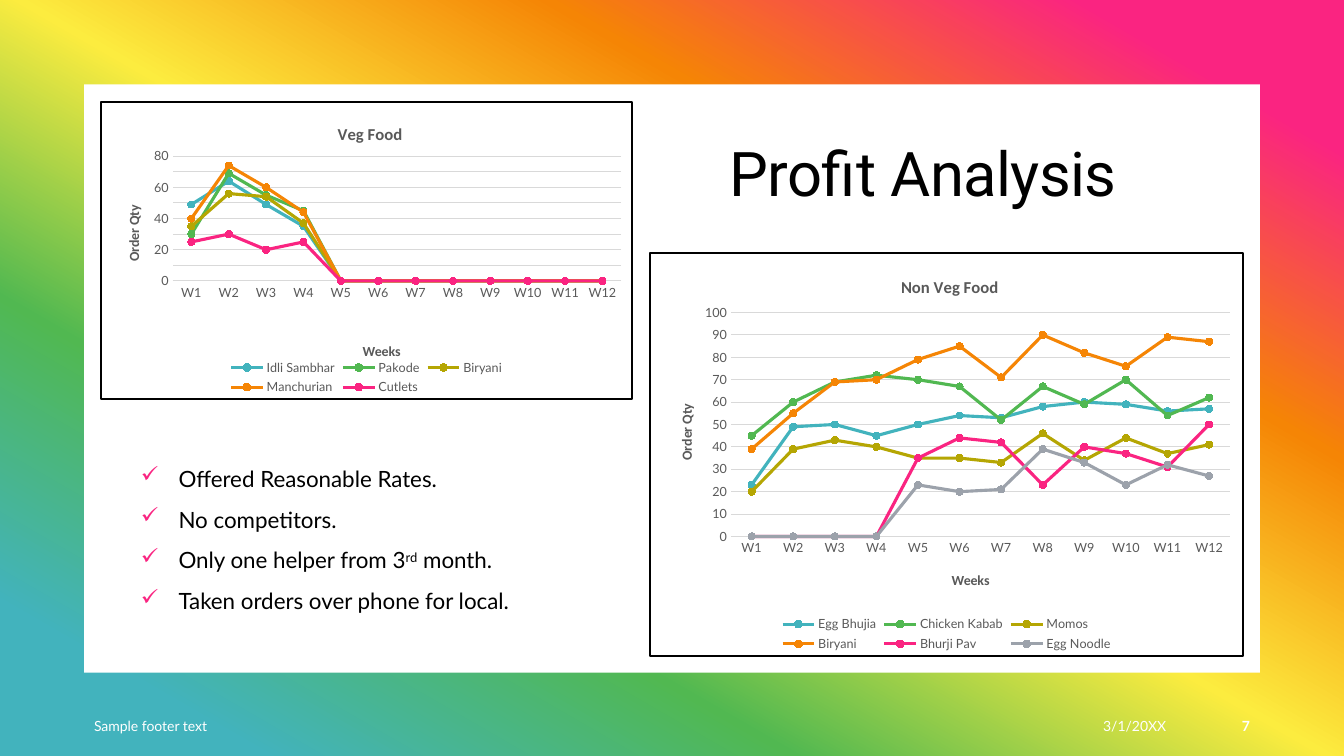
from lxml import etree
from pptx import Presentation
from pptx.chart.data import CategoryChartData
from pptx.dml.color import RGBColor
from pptx.enum.chart import XL_CHART_TYPE, XL_LEGEND_POSITION, XL_MARKER_STYLE, XL_TICK_MARK
from pptx.enum.shapes import MSO_SHAPE
from pptx.enum.text import MSO_ANCHOR, PP_ALIGN
from pptx.oxml import parse_xml
from pptx.oxml.ns import nsdecls, qn
from pptx.util import Cm, Pt

LINE_MARKERS = XL_CHART_TYPE.LINE_MARKERS
LEGEND_BOTTOM = XL_LEGEND_POSITION.BOTTOM
CIRCLE = XL_MARKER_STYLE.CIRCLE
NO_TICK = XL_TICK_MARK.NONE
RECTANGLE = MSO_SHAPE.RECTANGLE
TOP, MIDDLE = MSO_ANCHOR.TOP, MSO_ANCHOR.MIDDLE
LEFT, RIGHT = PP_ALIGN.LEFT, PP_ALIGN.RIGHT

BLACK = RGBColor(0x00, 0x00, 0x00)
WHITE = RGBColor(0xFF, 0xFF, 0xFF)
DARK_GREY = RGBColor(0x59, 0x59, 0x59)
GRID_GREY = RGBColor(0xD9, 0xD9, 0xD9)
TEAL = RGBColor(0x42, 0xB3, 0xBD)
GREEN = RGBColor(0x51, 0xB8, 0x51)
OLIVE = RGBColor(0xB5, 0xA6, 0x03)
ORANGE = RGBColor(0xF5, 0x85, 0x05)
PINK = RGBColor(0xFA, 0x24, 0x81)
SILVER = RGBColor(0x9C, 0xA2, 0xAB)
YELLOW = RGBColor(0xFC, 0xEC, 0x3F)

SERIES_COLORS = (TEAL, GREEN, OLIVE, ORANGE, PINK, SILVER)
RAINBOW = ((10, PINK), (30, ORANGE), (50, YELLOW), (70, GREEN), (90, TEAL))
WEEKS = [f"W{week}" for week in range(1, 13)]
CLOSED = [0] * 8

VEG_SALES = {
    "Idli Sambhar": [49, 64, 49, 35] + CLOSED,
    "Pakode": [30, 69, 55, 45] + CLOSED,
    "Biryani": [35, 56, 54, 37] + CLOSED,
    "Manchurian": [40, 74, 60, 44] + CLOSED,
    "Cutlets": [25, 30, 20, 25] + CLOSED,
}
NON_VEG_SALES = {
    "Egg Bhujia": [23, 49, 50, 45, 50, 54, 53, 58, 60, 59, 56, 57],
    "Chicken Kabab": [45, 60, 69, 72, 70, 67, 52, 67, 59, 70, 54, 62],
    "Momos": [20, 39, 43, 40, 35, 35, 33, 46, 34, 44, 37, 41],
    "Biryani": [39, 55, 69, 70, 79, 85, 71, 90, 82, 76, 89, 87],
    "Bhurji Pav": [0, 0, 0, 0, 35, 44, 42, 23, 40, 37, 31, 50],
    "Egg Noodle": [0, 0, 0, 0, 23, 20, 21, 39, 33, 23, 32, 27],
}
# Fractions of the chart frame: left and top, then width and height for the plot
VEG_LAYOUT = {"plot": (0.135, 0.183, 0.845, 0.42), "title": (0.44, 0.06),
              "weeks": (0.488, 0.8), "quantity": (0.04, 0.34)}
NON_VEG_LAYOUT = {"plot": (0.136, 0.148, 0.842, 0.556), "title": (0.418, 0.05),
                  "weeks": (0.504, 0.785), "quantity": (0.042, 0.368)}
REASONS = (
    [("Offered Reasonable Rates.", False)],
    [("No competitors.", False)],
    [("Only one helper from 3", False), ("rd", True), (" month.", False)],
    [("Taken orders over phone for local.", False)],
)


def place(parent, index, fractions):
    """Give a chart part a manual layout, as child number index of parent."""
    for old in parent.findall(qn("c:layout")):
        parent.remove(old)
    layout = parse_xml(f"<c:layout {nsdecls('c')}><c:manualLayout/></c:layout>")
    manual = layout[0]
    settings = [("xMode", "edge"), ("yMode", "edge"), *zip("xywh", fractions)]
    if len(fractions) == 4:
        settings.insert(0, ("layoutTarget", "inner"))
    for name, value in settings:
        etree.SubElement(manual, qn(f"c:{name}")).set("val", str(value))
    parent.insert(index, layout)


class SlideBuilder:
    body_font = "Lato"
    title_font = "Roboto"
    chart_title_font = "Calibri"

    def __init__(self, slide):
        self.shapes = slide.shapes

    def style(self, font, size, color, name=None, bold=False):
        font.name, font.size, font.bold = name or self.body_font, Pt(size), bold
        font.color.rgb = color

    def panel(self, left, top, width, height):
        panel = self.shapes.add_shape(RECTANGLE, Cm(left), Cm(top), Cm(width), Cm(height))
        panel.shadow.inherit = False
        panel.fill.solid()
        panel.fill.fore_color.rgb = WHITE
        panel.line.fill.background()
        return panel

    def rainbow_panel(self, *frame):
        properties = self.panel(*frame).element.spPr
        stops = "".join(f'<a:gs pos="{percent * 1000}"><a:srgbClr val="{color}"/></a:gs>'
                        for percent, color in RAINBOW)
        gradient = parse_xml(f"<a:gradFill {nsdecls('a')}><a:gsLst>{stops}</a:gsLst>"
                             f'<a:lin ang="{120 * 60000}" scaled="0"/></a:gradFill>')
        properties.replace(properties.find(qn("a:solidFill")), gradient)

    def text_frame(self, left, top, width, height, anchor=MIDDLE):
        box = self.shapes.add_textbox(Cm(left), Cm(top), Cm(width), Cm(height))
        box.text_frame.word_wrap = True
        box.text_frame.vertical_anchor = anchor
        return box.text_frame

    def text(self, frame, words, size, color, name=None, bold=False, align=LEFT):
        para = self.text_frame(*frame).paragraphs[0]
        para.alignment = align
        span = para.add_run()
        span.text = words
        self.style(span.font, size, color, name, bold)
        return para, span

    def title(self, frame, words):
        para, span = self.text(frame, words, 44, BLACK, self.title_font)
        para.line_spacing = 0.95
        span.font._element.set("spc", "-50")

    def check_list(self, frame, items):
        text_frame = self.text_frame(*frame, anchor=TOP)
        for number, pieces in enumerate(items):
            para = text_frame.add_paragraph() if number else text_frame.paragraphs[0]
            para.line_spacing, para.space_before = 1.05, Pt(9)
            properties = para._p.get_or_add_pPr()
            properties.set("marL", str(Cm(0.95)))
            properties.set("indent", str(-Cm(0.95)))
            bullet_color = etree.SubElement(properties, qn("a:buClr"))
            etree.SubElement(bullet_color, qn("a:srgbClr")).set("val", str(PINK))
            etree.SubElement(properties, qn("a:buChar")).set("char", "✓")
            for words, raised in pieces:
                span = para.add_run()
                span.text = words
                self.style(span.font, 16, BLACK)
                if raised:
                    span.font._element.set("baseline", "30000")

    def chart_caption(self, caption, words, size, position):
        span = caption.text_frame.paragraphs[0].add_run()
        span.text = words
        self.style(span.font, size, DARK_GREY, self.chart_title_font, True)
        place(caption.element, 1, position)

    def axis(self, axis, words, position):
        axis.major_tick_mark = axis.minor_tick_mark = NO_TICK
        self.style(axis.tick_labels.font, 9, DARK_GREY)
        self.chart_caption(axis.axis_title, words, 10, position)

    def line_chart(self, frame, words, sales, top_value, layout):
        data = CategoryChartData()
        data.categories = WEEKS
        for dish, quantities in sales.items():
            data.add_series(dish, quantities)
        chart = self.shapes.add_chart(LINE_MARKERS, *map(Cm, frame), data).chart
        self.style(chart.font, 10, BLACK)
        chart.element.find(qn("c:txPr")).addprevious(parse_xml(
            f"<c:spPr {nsdecls('c', 'a')}>"
            f'<a:solidFill><a:srgbClr val="{WHITE}"/></a:solidFill><a:ln w="{Pt(1.5)}">'
            f'<a:solidFill><a:srgbClr val="{BLACK}"/></a:solidFill></a:ln></c:spPr>'))
        place(chart.element.xpath("//c:plotArea")[0], 0, layout["plot"])
        self.chart_caption(chart.chart_title, words, 12, layout["title"])
        weeks, quantity = chart.category_axis, chart.value_axis
        self.axis(weeks, "Weeks", layout["weeks"])
        self.axis(quantity, "Order Qty", layout["quantity"])
        quantity.minimum_scale, quantity.maximum_scale, quantity.major_unit = 0, top_value, 10
        quantity.format.line.fill.background()
        for line in (weeks.format.line, quantity.major_gridlines.format.line):
            line.color.rgb, line.width = GRID_GREY, Pt(0.75)
        chart.has_legend = True
        chart.legend.position, chart.legend.include_in_layout = LEGEND_BOTTOM, False
        self.style(chart.legend.font, 9, DARK_GREY)
        plot = chart.plots[0]
        plot.vary_by_categories = False
        for series, color in zip(plot.series, SERIES_COLORS):
            series.smooth = False
            series.format.line.color.rgb, series.format.line.width = color, Pt(2.25)
            marker = series.marker
            marker.style, marker.size = CIRCLE, 5
            marker.format.fill.solid()
            marker.format.fill.fore_color.rgb = marker.format.line.color.rgb = color


def main():
    deck = Presentation()
    deck.slide_width, deck.slide_height = Cm(33.87), Cm(19.05)
    page = SlideBuilder(deck.slides.add_slide(deck.slide_layouts[6]))
    page.rainbow_panel(0, 0, 33.87, 19.05)
    page.panel(2.12, 2.13, 29.63, 14.82)
    page.title((18.14, 3.3, 13.2, 2.24), "Profit Analysis")
    page.check_list((3.3, 11.56, 12.27, 5.6), REASONS)
    page.text((2.12, 17.78, 16.93, 1.02), "Sample footer text", 10, WHITE)
    page.text((24.46, 17.78, 5.18, 1.02), "3/1/20XX", 10, WHITE, align=RIGHT)
    page.text((30.28, 17.78, 1.47, 1.02), "7", 10, WHITE, bold=True, align=RIGHT)
    page.line_chart((2.52, 2.54, 13.43, 7.54), "Veg Food", VEG_SALES, 80, VEG_LAYOUT)
    page.line_chart((16.36, 6.35, 14.99, 10.2), "Non Veg Food", NON_VEG_SALES, 100, NON_VEG_LAYOUT)
    deck.save("out.pptx")


if __name__ == "__main__":
    main()
